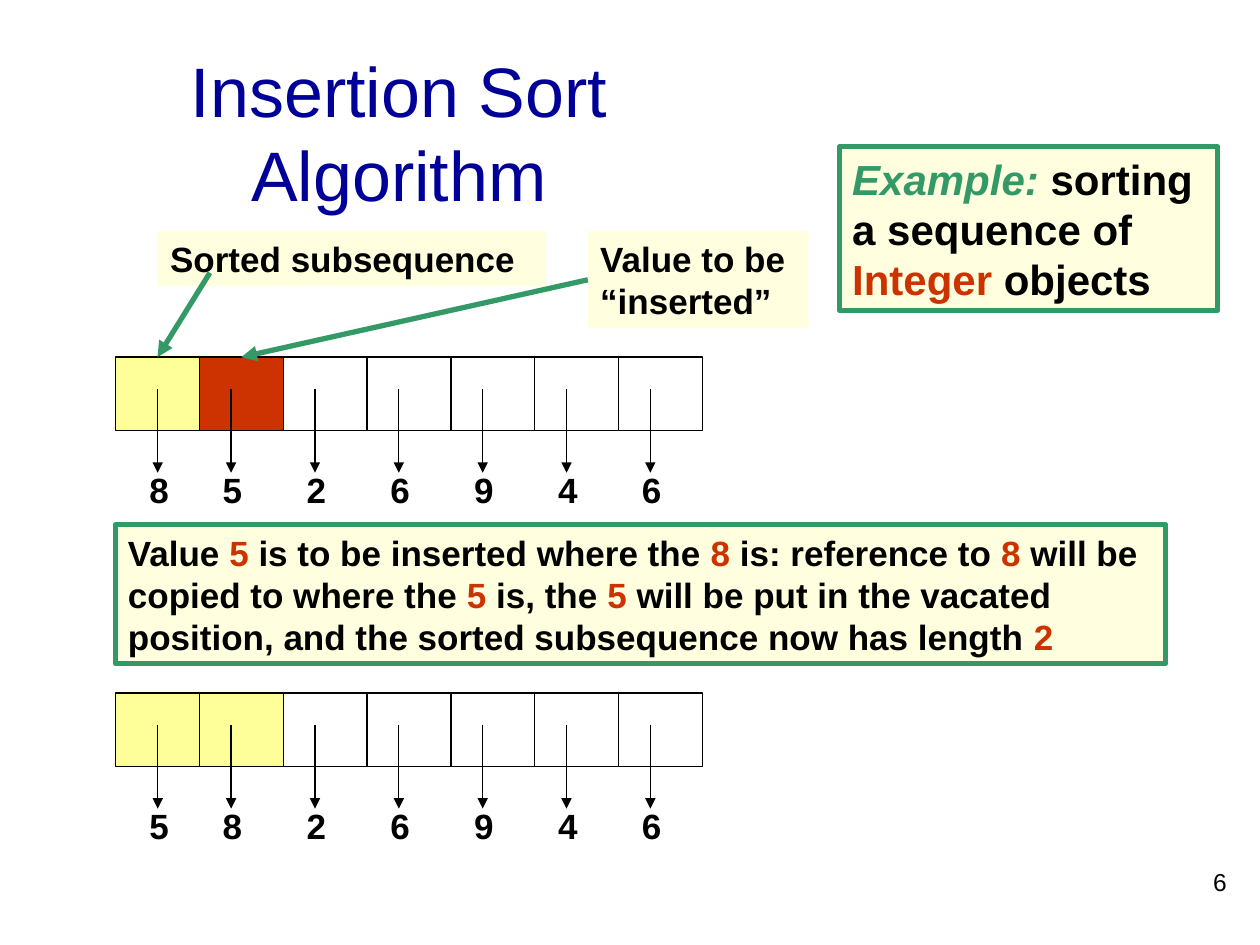
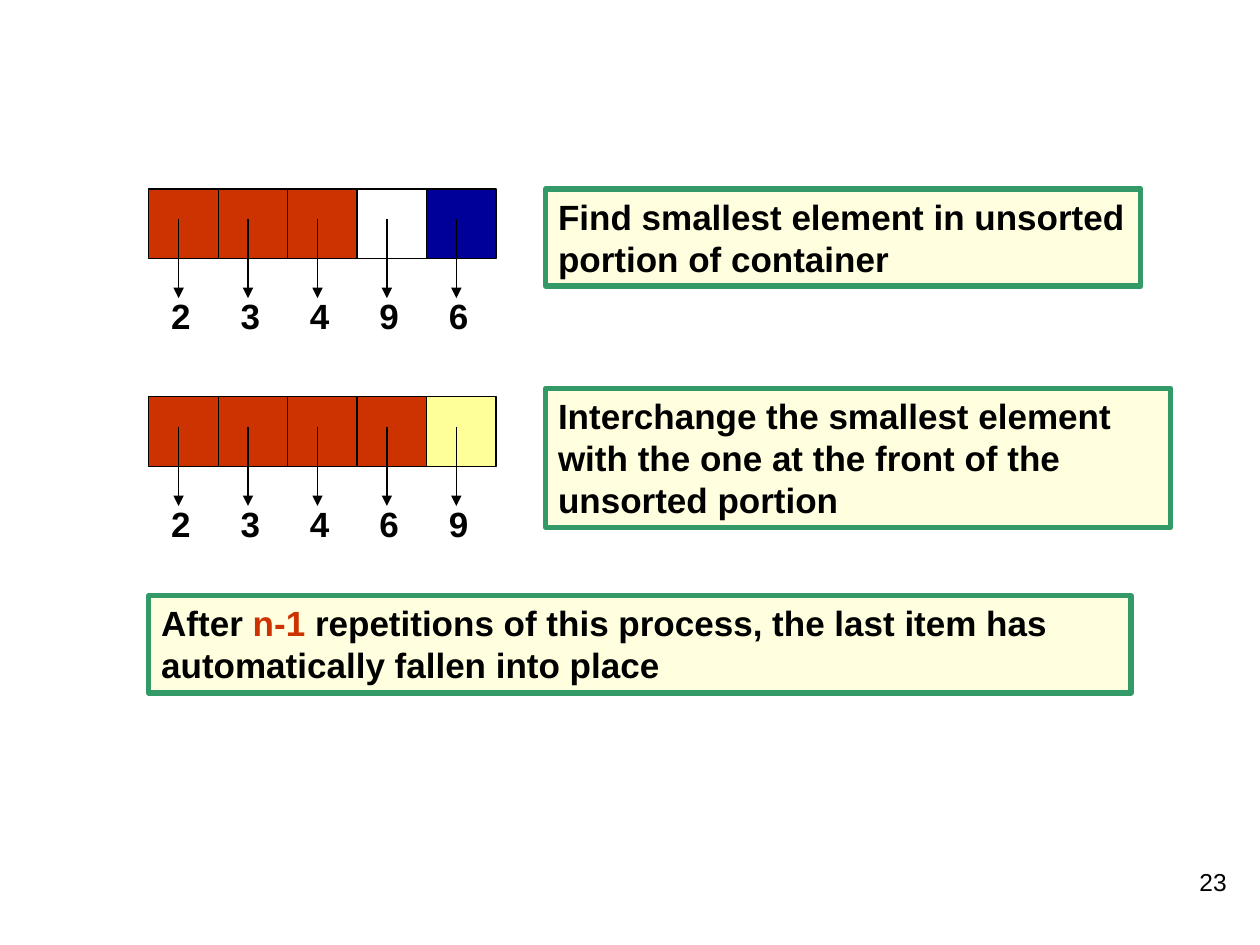
from dataclasses import dataclass
from typing import NamedTuple

from lxml import etree
from pptx import Presentation
from pptx.dml.color import RGBColor
from pptx.enum.shapes import MSO_CONNECTOR, MSO_SHAPE
from pptx.enum.text import MSO_ANCHOR, MSO_AUTO_SIZE, PP_ALIGN
from pptx.oxml.ns import qn
from pptx.util import Cm, Pt

RECTANGLE = MSO_SHAPE.RECTANGLE
STRAIGHT = MSO_CONNECTOR.STRAIGHT
TOP = MSO_ANCHOR.TOP
MIDDLE = MSO_ANCHOR.MIDDLE
LEFT = PP_ALIGN.LEFT
CENTER = PP_ALIGN.CENTER
RIGHT = PP_ALIGN.RIGHT
GROW = MSO_AUTO_SIZE.SHAPE_TO_FIT_TEXT
NO_FIT = MSO_AUTO_SIZE.NONE

BLACK = RGBColor(0x00, 0x00, 0x00)
NAVY = RGBColor(0x00, 0x00, 0x99)
RED = RGBColor(0xCC, 0x33, 0x00)
YELLOW = RGBColor(0xFF, 0xFF, 0x99)
CREAM = RGBColor(0xFF, 0xFF, 0xDF)
GREEN = RGBColor(0x33, 0x99, 0x66)

FONT = "Arial"
TITLE_ONLY, BLANK = 5, 6
TOP_SIDE, LEFT_SIDE = 0, 1
THIN, THICK = 0.75, 3
LABEL_HEIGHT = 1.11


class Span(NamedTuple):
    text: str
    color: RGBColor = BLACK
    italic: bool = False


class Box(NamedTuple):
    """A rectangle in centimetres."""
    left: float
    top: float
    width: float
    height: float

    def lengths(self):
        return [Cm(value) for value in self]


@dataclass
class Note:
    box: Box
    spans: list[Span]
    size: int = 20
    framed: bool = True


@dataclass
class ArrayStyle:
    """Sizes of an array drawing, in centimetres; offsets count from a cell's corner."""
    left: float
    cell_width: float
    cell_height: float
    pointer_insets: list[float]
    pointer_start: float
    pointer_end: float
    label_top: float
    label_shift: float
    label_width: float


@dataclass
class ArrayState:
    top: float
    values: list[int]
    fills: list[RGBColor | None]


INSERTION_ARRAY = ArrayStyle(
    left=2.33, cell_width=1.69, cell_height=1.48, pointer_insets=[0.85] + [0.64] * 6,
    pointer_start=0.64, pointer_end=2.33, label_top=2.12, label_shift=0.42,
    label_width=1.06)
SELECTION_ARRAY = ArrayStyle(
    left=3, cell_width=1.4, cell_height=1.4, pointer_insets=[0.6] * 5,
    pointer_start=0.6, pointer_end=2.2, label_top=2, label_shift=0.4,
    label_width=0.8)


def write_spans(frame, spans: list[Span], size: int, bold=True, align=LEFT):
    frame.word_wrap = True
    paragraph = frame.paragraphs[0]
    paragraph.alignment = align
    for span in spans:
        run = paragraph.add_run()
        run.text = span.text
        run.font.name = FONT
        run.font.size = Pt(size)
        run.font.bold = bold
        run.font.italic = span.italic
        run.font.color.rgb = span.color


def add_rectangle(slide, box: Box, fill: RGBColor | None,
                  line: RGBColor | None, weight: float = THIN):
    rectangle = slide.shapes.add_shape(RECTANGLE, *box.lengths())
    rectangle.shadow.inherit = False
    if fill is None:
        rectangle.fill.background()
    else:
        rectangle.fill.solid()
        rectangle.fill.fore_color.rgb = fill
    if line is None:
        rectangle.line.fill.background()
    else:
        rectangle.line.color.rgb = line
        rectangle.line.width = Pt(weight)
    return rectangle


def add_arrow(slide, start: tuple[float, float], end: tuple[float, float],
              color: RGBColor, weight: float):
    points = [Cm(value) for value in (*start, *end)]
    arrow = slide.shapes.add_connector(STRAIGHT, *points)
    arrow.line.color.rgb = color
    arrow.line.width = Pt(weight)
    etree.SubElement(arrow.line._get_or_add_ln(), qn("a:tailEnd"), type="triangle")
    etree.SubElement(arrow._element.spPr, qn("a:effectLst"))
    return arrow


def add_note(slide, note: Note):
    panel = add_rectangle(slide, note.box, CREAM, GREEN if note.framed else None, THICK)
    frame = panel.text_frame
    frame.vertical_anchor = TOP
    frame.auto_size = GROW
    write_spans(frame, note.spans, note.size)
    return panel


def add_array(slide, style: ArrayStyle, state: ArrayState):
    """Draw the cells, the values under them and the pointers; return the cells."""
    lefts = [style.left + i * style.cell_width for i in range(len(state.values))]
    cells = [
        add_rectangle(slide, Box(left, state.top, style.cell_width, style.cell_height),
                      fill, BLACK)
        for left, fill in zip(lefts, state.fills)
    ]
    for left, inset, value in zip(lefts, style.pointer_insets, state.values):
        x = left + inset
        label_box = Box(x - style.label_shift, state.top + style.label_top,
                        style.label_width, LABEL_HEIGHT)
        label = slide.shapes.add_textbox(*label_box.lengths())
        label.text_frame.auto_size = GROW
        write_spans(label.text_frame, [Span(str(value))], 20)
        add_arrow(slide, (x, state.top + style.pointer_start),
                  (x, state.top + style.pointer_end), BLACK, THIN)
    return cells


def add_page_number(slide, number: int):
    page = slide.shapes.add_textbox(*Box(19.69, 17.36, 5.29, 1.27).lengths())
    write_spans(page.text_frame, [Span(str(number))], 14, bold=False, align=RIGHT)


def set_title(slide, text: str, box: Box):
    title = slide.shapes.title
    title.left, title.top, title.width, title.height = box.lengths()
    frame = title.text_frame
    frame.vertical_anchor = MIDDLE
    frame.auto_size = NO_FIT
    write_spans(frame, [Span(text, NAVY)], 40, bold=False, align=CENTER)


def build_insertion_sort(deck):
    slide = deck.slides.add_slide(deck.slide_layouts[TITLE_ONLY])
    set_title(slide, "Insertion Sort Algorithm", Box(1.9, 1.06, 12.28, 3.18))

    before = ArrayState(7.2, [8, 5, 2, 6, 9, 4, 6], [YELLOW, RED] + [None] * 5)
    after = ArrayState(13.97, [5, 8, 2, 6, 9, 4, 6], [YELLOW] * 2 + [None] * 5)
    sorted_cell, inserted_cell, *_ = add_array(slide, INSERTION_ARRAY, before)

    add_note(slide, Note(Box(3.18, 4.66, 7.83, 1.11), [Span("Sorted subsequence")],
                         framed=False))
    value_note = add_note(slide, Note(Box(11.85, 4.66, 4.45, 1.96),
                                      [Span("Value to be “inserted”")], framed=False))
    sorted_arrow = add_arrow(slide, (4.23, 5.5), (3.18, 7.2), GREEN, THICK)
    sorted_arrow.end_connect(sorted_cell, TOP_SIDE)
    inserted_arrow = add_arrow(slide, (11.85, 5.64), (4.87, 7.2), GREEN, THICK)
    inserted_arrow.begin_connect(value_note, LEFT_SIDE)
    inserted_arrow.end_connect(inserted_cell, TOP_SIDE)

    add_array(slide, INSERTION_ARRAY, after)
    add_note(slide, Note(Box(2.33, 10.58, 21.17, 2.8), [
        Span("Value "), Span("5", RED),
        Span(" is to be inserted where the "), Span("8", RED),
        Span(" is: reference to "), Span("8", RED),
        Span(" will be copied to where the "), Span("5", RED),
        Span(" is, the "), Span("5", RED),
        Span(" will be put in the vacated position, "
             "and the sorted subsequence now has length "), Span("2", RED),
    ]))
    add_note(slide, Note(Box(16.93, 2.96, 7.62, 3.3), [
        Span("Example: ", GREEN, italic=True), Span("sorting a sequence of "),
        Span("Integer", RED), Span(" objects"),
    ], size=24))
    add_page_number(slide, 6)


def build_selection_sort(deck):
    slide = deck.slides.add_slide(deck.slide_layouts[BLANK])
    states = [
        ArrayState(3.81, [2, 3, 4, 9, 6], [RED] * 3 + [None, NAVY]),
        ArrayState(8, [2, 3, 4, 6, 9], [RED] * 4 + [YELLOW]),
    ]
    for state in states:
        add_array(slide, SELECTION_ARRAY, state)

    notes = [
        Note(Box(11, 3.81, 12, 1.96),
             [Span("Find smallest element in unsorted portion of container")]),
        Note(Box(11, 7.83, 12.6, 2.8),
             [Span("Interchange the smallest element with the one at the front "
                   "of the unsorted portion")]),
        Note(Box(3, 12.01, 19.8, 1.96),
             [Span("After "), Span("n-1", RED),
              Span(" repetitions of this process, the last item has "
                   "automatically fallen into place")]),
    ]
    for note in notes:
        add_note(slide, note)
    add_page_number(slide, 23)


def main():
    deck = Presentation()
    deck.slide_width, deck.slide_height = Cm(25.4), Cm(19.05)
    build_insertion_sort(deck)
    build_selection_sort(deck)
    deck.save("out.pptx")


if __name__ == "__main__":
    main()
